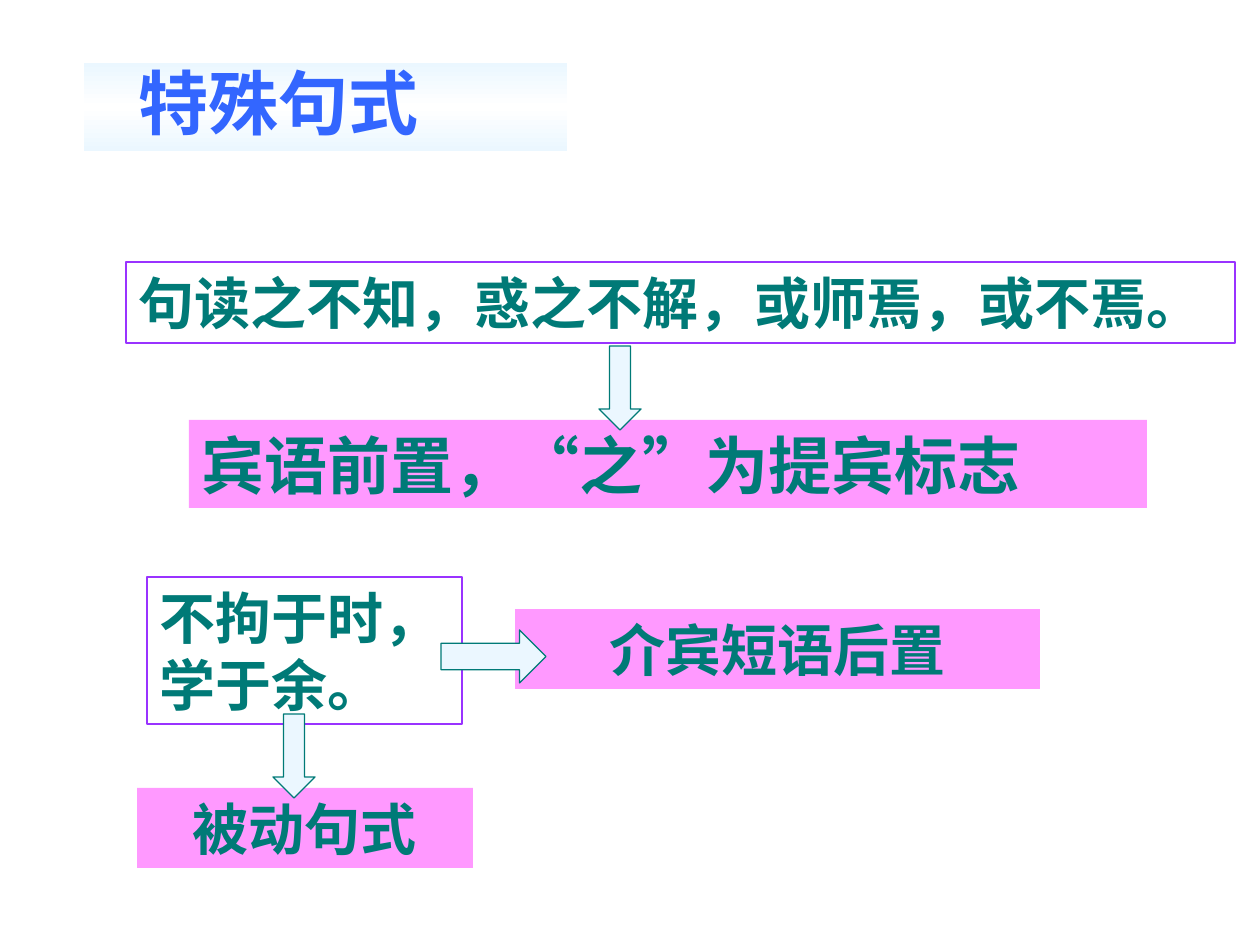
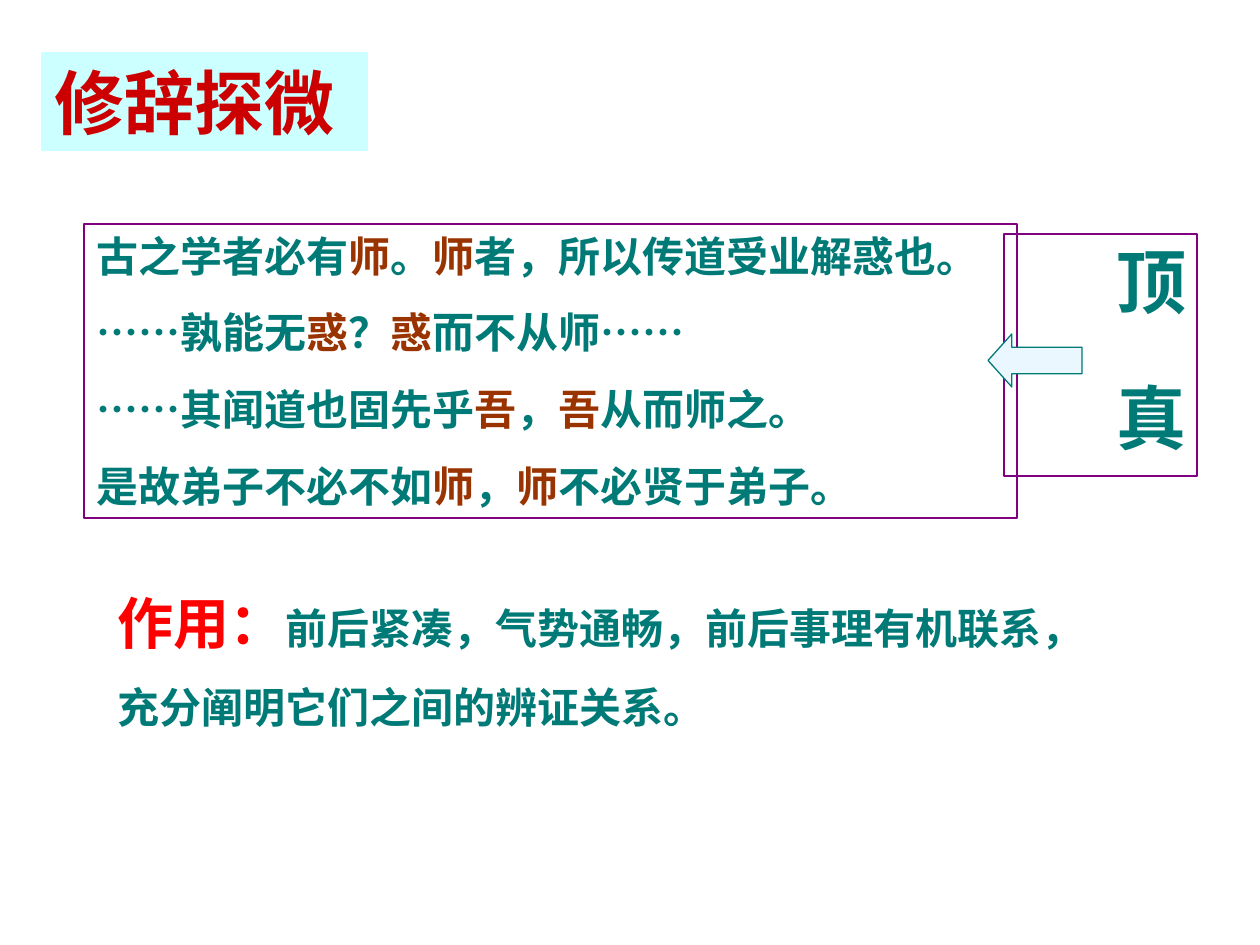
from copy import deepcopy
from dataclasses import dataclass
from typing import NamedTuple

from pptx import Presentation
from pptx.dml.color import RGBColor
from pptx.enum.lang import MSO_LANGUAGE_ID as Language
from pptx.enum.shapes import MSO_SHAPE as Shape
from pptx.enum.text import MSO_ANCHOR as Anchor, PP_ALIGN as Align
from pptx.oxml.ns import qn
from pptx.util import Emu, Pt

EMU_PER_PX = 914400 / 126


@dataclass(frozen=True)
class Theme:
    font: str = "Times New Roman"
    ink: str = "007A77"
    repeated_word: str = "993300"
    sentence_title: str = "3366FF"
    rhetoric_title: str = "CC0000"
    effect_label: str = "FF0000"
    pale: str = "EBF7FF"
    white: str = "FFFFFF"
    rhetoric_band: str = "CCFFFF"
    answer_fill: str = "FF99FF"
    example_line: str = "9933FF"
    rhetoric_line: str = "800080"
    title_size: int = 40
    answer_size: int = 36
    example_size: int = 32
    body_size: int = 24
    line_width: float = 0.75
    body_gap: int = 15


THEME = Theme()


class Box(NamedTuple):
    left: int
    top: int
    width: int
    height: int

    def inner(self, left, top, width, height):
        """Box of the given size, offset from this one's corner."""
        return Box(self.left + left, self.top + top, width, height)

    def emu(self):
        return [px(length) for length in self]


def px(length):
    return Emu(round(length * EMU_PER_PX))


def rgb(color):
    return RGBColor.from_string(color)


def add_shape(slide, kind, box, fill=None, line=None):
    shape = slide.shapes.add_shape(kind, *box.emu())
    shape.shadow.inherit = False
    if fill:
        shape.fill.solid()
        shape.fill.fore_color.rgb = rgb(fill)
    else:
        shape.fill.background()
    if line:
        shape.line.color.rgb = rgb(line)
        shape.line.width = Pt(THEME.line_width)
    else:
        shape.line.fill.background()
    return shape


def add_arrow(slide, kind, box, head=0.5):
    arrow = add_shape(slide, kind, box, THEME.pale, THEME.ink)
    arrow.adjustments[1] = head


def add_run(paragraph, text, size, color=THEME.ink):
    run = paragraph.add_run()
    run.text = text
    font = run.font
    font.name = THEME.font
    font.size = Pt(size)
    font.bold = True
    font.color.rgb = rgb(color)
    font.language_id = Language.SIMPLIFIED_CHINESE
    return run


def write(shape, paragraphs, align=Align.LEFT):
    """Fill a shape with paragraphs, each a list of (text, size, color) runs."""
    frame = shape.text_frame
    frame.word_wrap = True
    frame.vertical_anchor = Anchor.TOP
    for index, runs in enumerate(paragraphs):
        paragraph = frame.add_paragraph() if index else frame.paragraphs[0]
        paragraph.alignment = align
        if index:
            paragraph.space_before = Pt(THEME.body_gap)
        for run in runs:
            add_run(paragraph, *run)


def add_example(slide, box, text):
    example = add_shape(slide, Shape.RECTANGLE, box, line=THEME.example_line)
    write(example, [[(text, THEME.example_size)]])


def add_answer(slide, box, text, size=THEME.example_size, align=Align.CENTER):
    answer = add_shape(slide, Shape.RECTANGLE, box, THEME.answer_fill)
    write(answer, [[(text, size)]], align)


def sentence_title(slide, box):
    band = add_shape(slide, Shape.RECTANGLE, box.inner(0, 10, 483, 88))
    band.fill.gradient()
    band.fill.gradient_angle = 90
    stops = band._element.spPr.find(qn("a:gradFill")).find(qn("a:gsLst"))
    stops.insert(1, deepcopy(stops[0]))
    colors = (THEME.pale, THEME.white, THEME.pale)
    for index, (stop, color) in enumerate(zip(band.fill.gradient_stops, colors)):
        stop.position = index / 2
        stop.color.rgb = rgb(color)
    title = slide.shapes.add_textbox(*box.inner(42, 0, 388, 97).emu())
    write(title, [[("特殊句式", THEME.title_size, THEME.sentence_title)]])


def fronted_object(slide, box):
    add_example(slide, box.inner(0, 0, 1109, 81), "句读之不知，惑之不解，或师焉，或不焉。")
    add_answer(slide, box.inner(63, 158, 958, 88), "宾语前置，“之”为提宾标志",
               THEME.answer_size, Align.LEFT)
    add_arrow(slide, Shape.DOWN_ARROW, box.inner(473, 84, 42, 84))


def postposed_and_passive(slide, box):
    add_example(slide, box.inner(10, 0, 315, 147), "不拘于时，学于余。")
    add_answer(slide, box.inner(0, 211, 336, 80), "被动句式")
    add_answer(slide, box.inner(378, 32, 525, 80), "介宾短语后置")
    add_arrow(slide, Shape.RIGHT_ARROW, box.inner(304, 53, 105, 53))
    add_arrow(slide, Shape.DOWN_ARROW, box.inner(136, 137, 42, 84))


def rhetoric_title(slide, box):
    title = add_shape(slide, Shape.RECTANGLE, box, THEME.rhetoric_band, THEME.rhetoric_band)
    write(title, [[("修辞探微", THEME.title_size, THEME.rhetoric_title)]])


def linked_quotes(slide, box):
    """Quotations whose clauses are joined by a repeated word."""
    quotes = [
        ("古之学者必有", "师", "。", "者，所以传道受业解惑也。"),
        ("……孰能无", "惑", "？", "而不从师……"),
        ("……其闻道也固先乎", "吾", "，", "从而师之。"),
        ("是故弟子不必不如", "师", "，", "不必贤于弟子。"),
    ]
    size = THEME.body_size
    paragraphs = []
    for opening, word, mark, ending in quotes:
        link = (word, size, THEME.repeated_word)
        paragraphs.append([(opening, size), link, (mark, size), link, (ending, size)])
    panel = add_shape(slide, Shape.RECTANGLE, box, line=THEME.rhetoric_line)
    write(panel, paragraphs)


def device_name(slide, box):
    """Vertical name of the device, its two characters spread apart."""
    panel = add_shape(slide, Shape.RECTANGLE, box, line=THEME.rhetoric_line)
    frame = panel.text_frame
    frame.margin_left = frame.margin_right = Pt(3.6)
    frame.margin_top = frame.margin_bottom = Pt(7.2)
    write(panel, [[("顶", THEME.title_size), ("真", THEME.title_size)]], Align.CENTER)
    frame._txBody.bodyPr.set("vert", "eaVert")
    first = frame.paragraphs[0].runs[0]
    first._r.get_or_add_rPr().set("spc", "3800")


def device_effect(slide, box):
    effect = slide.shapes.add_textbox(*box.emu())
    write(effect, [
        [("作用：", THEME.example_size, THEME.effect_label),
         ("前后紧凑，气势通畅，前后事理有机联系，", THEME.body_size)],
        [("充分阐明它们之间的辨证关系。", THEME.body_size)],
    ])


def sentence_slide(slide):
    sentence_title(slide, Box(84, 53, 483, 98))
    fronted_object(slide, Box(126, 262, 1109, 246))
    postposed_and_passive(slide, Box(137, 577, 903, 291))


def rhetoric_slide(slide):
    rhetoric_title(slide, Box(42, 53, 325, 97))
    linked_quotes(slide, Box(84, 224, 933, 294))
    device_name(slide, Box(1004, 234, 193, 242))
    device_effect(slide, Box(105, 582, 1052, 156))
    add_arrow(slide, Shape.LEFT_ARROW, Box(988, 334, 94, 53), head=0.45)


def main():
    deck = Presentation()
    deck.slide_width, deck.slide_height = px(1260), px(945)
    blank = deck.slide_layouts[6]
    for build in (sentence_slide, rhetoric_slide):
        build(deck.slides.add_slide(blank))
    deck.save("out.pptx")


if __name__ == "__main__":
    main()
